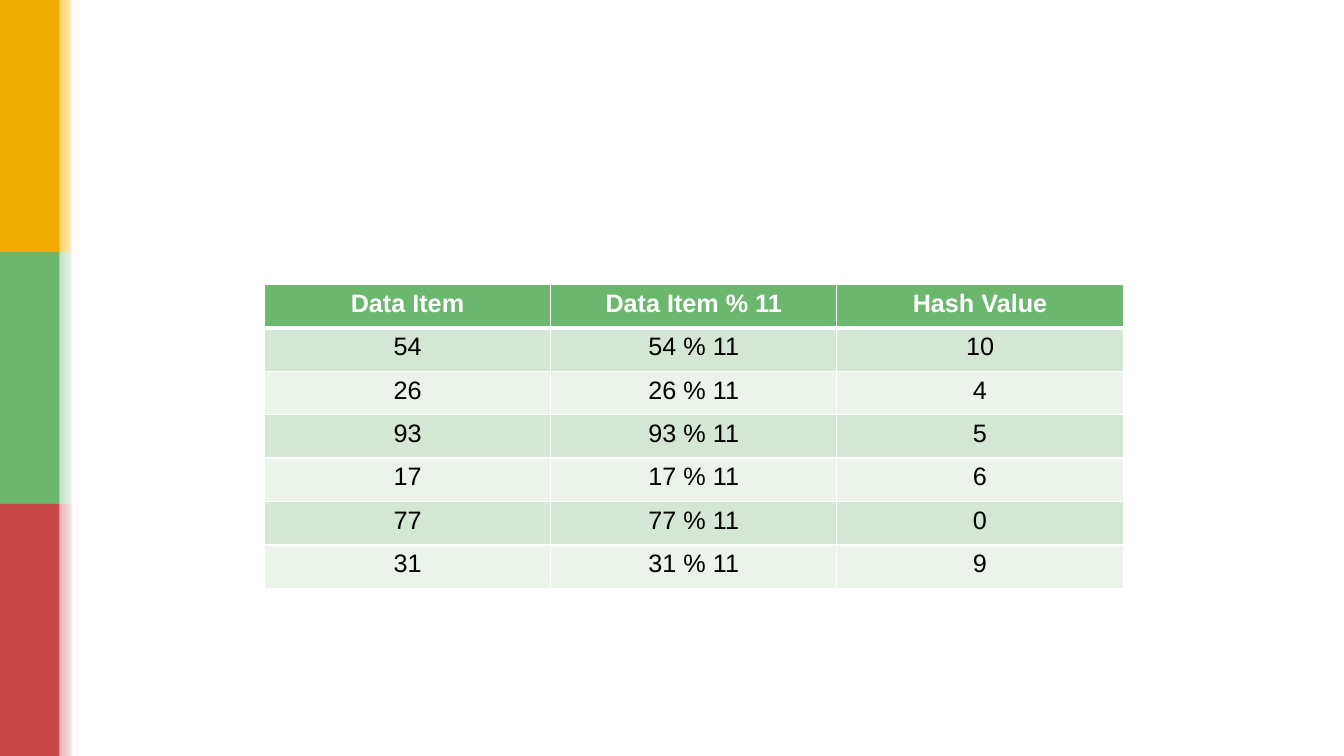
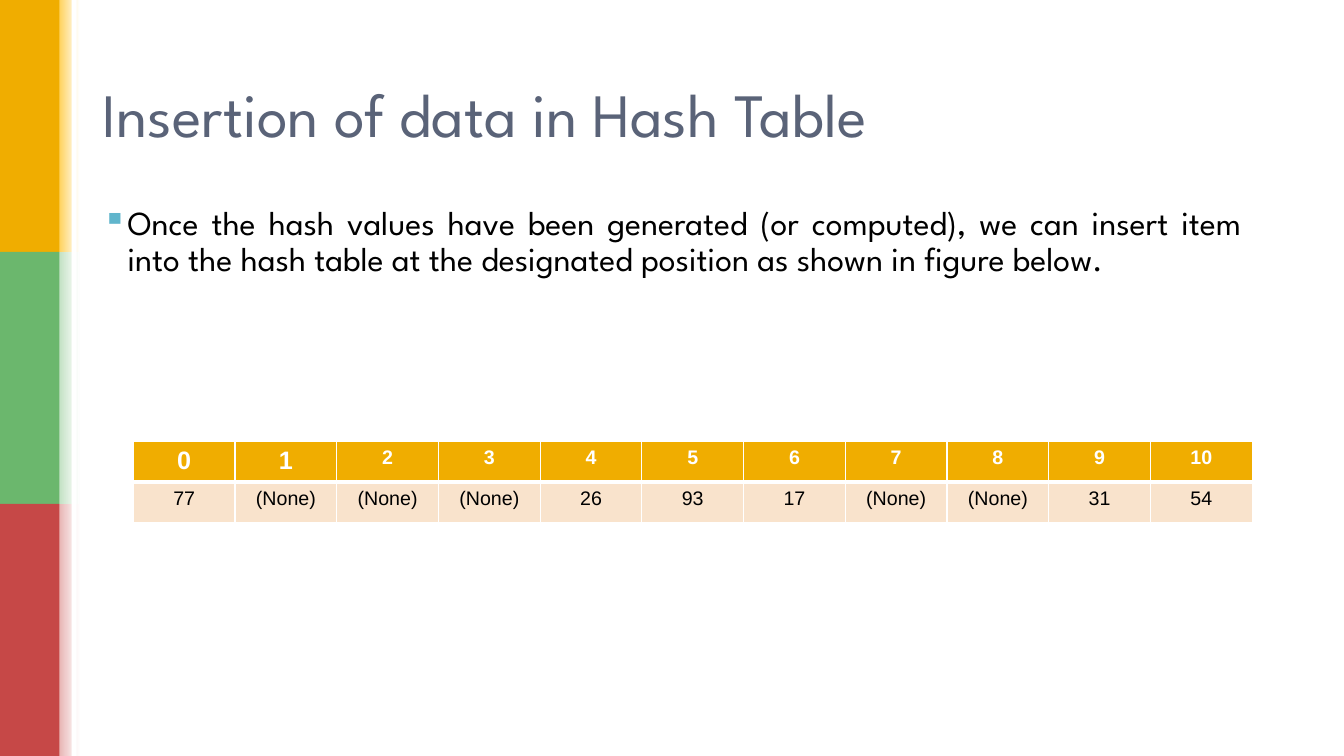
"""Build two slides on hash values and inserting items into a hash table."""
from dataclasses import dataclass

from pptx import Presentation
from pptx.dml.color import RGBColor
from pptx.enum.shapes import MSO_SHAPE
from pptx.enum.text import MSO_ANCHOR, MSO_AUTO_SIZE, PP_ALIGN
from pptx.oxml.ns import qn
from pptx.util import Inches, Pt
from lxml import etree

RECT = MSO_SHAPE.RECTANGLE
MIDDLE = MSO_ANCHOR.MIDDLE
NO_AUTOFIT = MSO_AUTO_SIZE.NONE
LEFT, CENTER, JUSTIFY = PP_ALIGN.LEFT, PP_ALIGN.CENTER, PP_ALIGN.JUSTIFY
TITLE_ONLY, BLANK = 5, 6
WIDTH, HEIGHT = Inches(40 / 3), Inches(7.5)


@dataclass(frozen=True)
class Theme:
    """Colours, fonts and type sizes that the slides share."""

    white: str = "FFFFFF"
    black: str = "000000"
    title: str = "5A6378"
    bullet: str = "60B5CC"
    amber: str = "F0AD00"
    green: str = "6BB76D"
    red: str = "C64847"
    fades: tuple = ("FFD25D", "C4E2C5", "E8B6B5")
    green_rows: tuple = ("D4E6D4", "EBF3EB")
    amber_rows: tuple = ("F9E3CC",)
    text_font: str = "League Spartan"
    table_font: str = "Arial"
    title_size: int = 44
    body_size: int = 24
    cell_size: int = 18
    small_size: int = 14
    thin: int = 1
    thick: int = 3


THEME = Theme()
ITEMS = (54, 26, 93, 17, 77, 31)
SLOTS = 11


def area(x, y, w, h):
    """Turn percentages of the slide's size into left, top, width, height."""
    return (int(WIDTH * x / 100), int(HEIGHT * y / 100),
            int(WIDTH * w / 100), int(HEIGHT * h / 100))


def rgb(color):
    """Return the colour object of a hex string."""
    return RGBColor.from_string(color)


def style(p, font, size, color, bold=False, align=LEFT):
    """Set the font and alignment of a paragraph."""
    p.alignment = align
    p.font.name, p.font.size, p.font.bold = font, Pt(size), bold
    p.font.color.rgb = rgb(color)


def add_block(s, box, color, fade_to=None):
    """Add a rectangle without outline, plain or fading to the right."""
    sp = s.shapes.add_shape(RECT, *box)
    sp.shadow.inherit = False
    sp.line.fill.background()
    if fade_to:
        sp.fill.gradient()
        sp.fill.gradient_angle = 0
        for stop, stop_color in zip(sp.fill.gradient_stops, (color, fade_to)):
            stop.color.rgb = rgb(stop_color)
    else:
        sp.fill.solid()
        sp.fill.fore_color.rgb = rgb(color)
    return sp


def add_master_bands(prs, s):
    """Draw the side bands on a slide and move them to the master."""
    step = 100 / 3
    bands = (THEME.amber, THEME.green, THEME.red)
    blocks = [add_block(s, area(0, i * step, 4.65, step), color)
              for i, color in enumerate(bands)]
    blocks += [add_block(s, area(4.43, i * step, 1.5, step), color, THEME.white)
               for i, color in enumerate(THEME.fades)]
    blocks.append(add_block(s, area(5.33, 0, 0.38, 100), THEME.white))
    for sp in blocks:
        prs.slide_master.shapes.element.append(sp.element)


def set_title(s, text):
    """Place, fill and format the title placeholder."""
    sp = s.shapes.title
    sp.left, sp.top, sp.width, sp.height = area(6.88, 5.33, 86.25, 19.33)
    tf = sp.text_frame
    tf.text, tf.auto_size, tf.vertical_anchor = text, NO_AUTOFIT, MIDDLE
    style(tf.paragraphs[0], THEME.text_font, THEME.title_size, THEME.title)


def add_bullet(s, box, text):
    """Add a text box with one justified bullet paragraph."""
    tf = s.shapes.add_textbox(*box).text_frame
    tf.word_wrap = True
    p = tf.paragraphs[0]
    p.text = text
    style(p, THEME.text_font, THEME.body_size, THEME.black, align=JUSTIFY)
    p.line_spacing, p.space_before = 0.9, Pt(0.3 * THEME.body_size)
    pPr = p._p.get_or_add_pPr()
    pPr.set("marL", str(Inches(0.25)))
    pPr.set("indent", str(-Inches(0.25)))
    marks = [etree.Element(qn("a:buClr")), etree.Element(qn("a:buChar"), char="▪")]
    etree.SubElement(marks[0], qn("a:srgbClr"), val=THEME.bullet)
    for offset, mark in enumerate(marks):
        pPr.insert(pPr.index(pPr.find(qn("a:spcBef"))) + 1 + offset, mark)


def set_borders(cell, top, bottom):
    """Give a cell white borders, with top and bottom widths in points."""
    tcPr = cell._tc.get_or_add_tcPr()
    widths = {"a:lnL": THEME.thin, "a:lnR": THEME.thin, "a:lnT": top, "a:lnB": bottom}
    for i, (tag, width) in enumerate(widths.items()):
        ln = etree.Element(qn(tag), w=str(Pt(width)))
        fill = etree.SubElement(ln, qn("a:solidFill"))
        etree.SubElement(fill, qn("a:srgbClr"), val=THEME.white)
        tcPr.insert(i, ln)


def add_grid(s, box, rows, head_color, row_colors, size_at):
    """Add a table with equal columns, a bold header and cycling row fills."""
    table = s.shapes.add_table(len(rows), len(rows[0]), *box).table
    for r, row in enumerate(rows):
        head = r == 0
        table.rows[r].height = box[3] // len(rows)
        fill = head_color if head else row_colors[(r - 1) % len(row_colors)]
        for c, value in enumerate(row):
            cell = table.cell(r, c)
            cell.text = str(value)
            cell.fill.solid()
            cell.fill.fore_color.rgb = rgb(fill)
            style(cell.text_frame.paragraphs[0], THEME.table_font, size_at(r, c),
                  THEME.white if head else THEME.black, head, CENTER)
            set_borders(cell, THEME.thick if r == 1 else THEME.thin,
                        THEME.thick if head else THEME.thin)


def add_hash_values(s):
    """Fill the slide that computes a hash value for each item."""
    rows = [("Data Item", f"Data Item % {SLOTS}", "Hash Value")]
    rows += [(item, f"{item} % {SLOTS}", item % SLOTS) for item in ITEMS]
    add_grid(s, area(19.67, 37.6, 63.9, 40.27), rows, THEME.green,
             THEME.green_rows, lambda r, c: THEME.cell_size)


def add_insertion(s):
    """Fill the slide that shows every item in its slot."""
    set_title(s, "Insertion of data in Hash Table")
    add_bullet(s, area(6.88, 26.67, 86.25, 63.47),
               "Once the hash values have been generated (or computed), we can insert "
               "item into the hash table at the designated position as shown in figure "
               "below.")
    slots = {item % SLOTS: item for item in ITEMS}
    rows = [range(SLOTS), [slots.get(i, "(None)") for i in range(SLOTS)]]
    add_grid(s, area(9.92, 58.4, 83.25, 10.8), rows, THEME.amber, THEME.amber_rows,
             lambda r, c: THEME.cell_size if r == 0 and c < 2 else THEME.small_size)


def main():
    """Build and save the presentation."""
    prs = Presentation()
    prs.slide_width, prs.slide_height = WIDTH, HEIGHT
    s = prs.slides.add_slide(prs.slide_layouts[BLANK])
    add_master_bands(prs, s)
    add_hash_values(s)
    add_insertion(prs.slides.add_slide(prs.slide_layouts[TITLE_ONLY]))
    prs.save("out.pptx")


if __name__ == "__main__":
    main()
